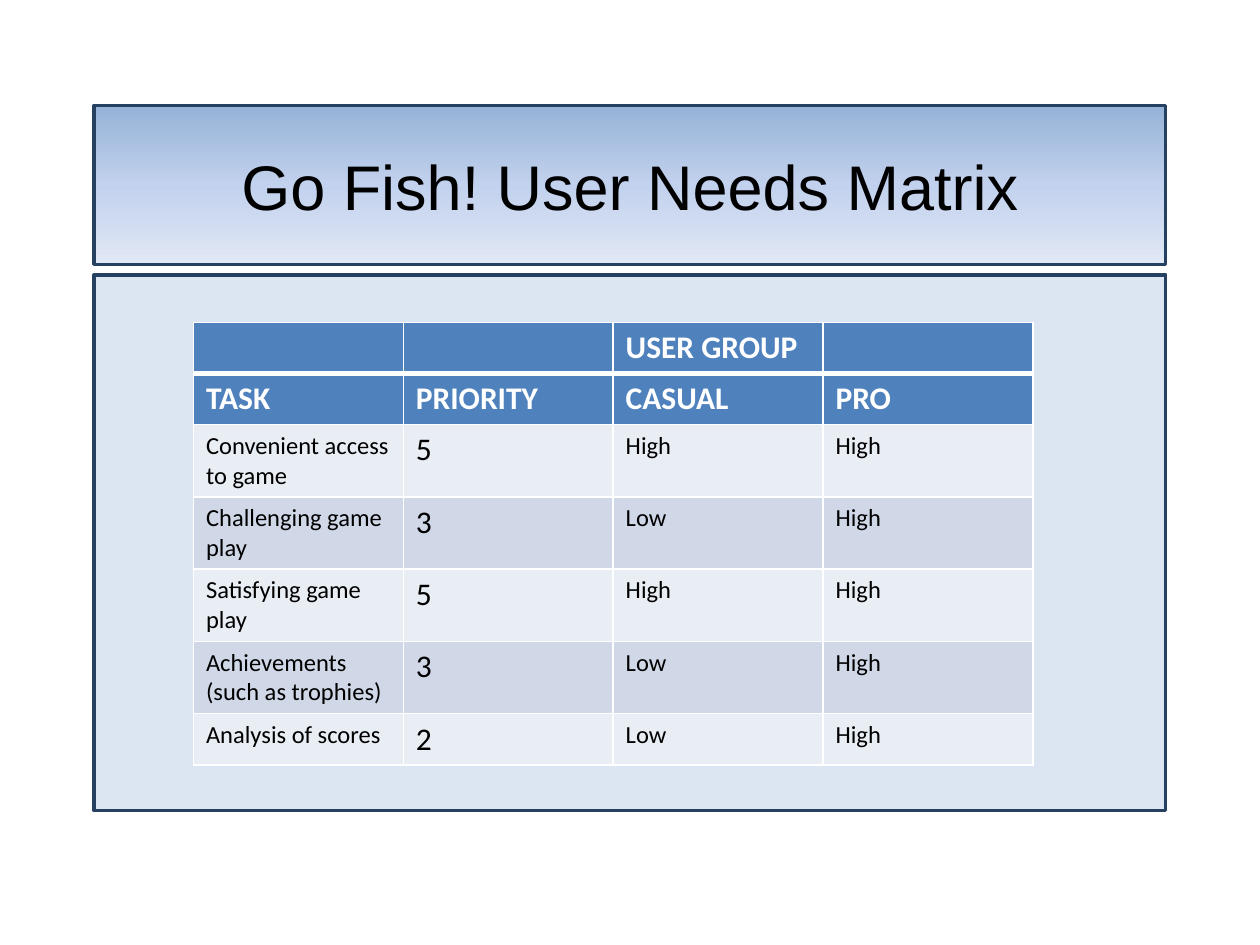
from copy import deepcopy

from lxml import etree
from pptx import Presentation
from pptx.dml.color import RGBColor
from pptx.enum.shapes import MSO_SHAPE
from pptx.enum.text import MSO_ANCHOR, PP_ALIGN
from pptx.oxml.ns import qn
from pptx.util import Cm, Pt

RECTANGLE = MSO_SHAPE.RECTANGLE
MIDDLE = MSO_ANCHOR.MIDDLE
CENTER = PP_ALIGN.CENTER

NAVY, PALE_BLUE = "254061", "DCE6F2"
HEADER_BLUE, BANDS = "4F81BD", ("E9EDF4", "D0D8E8")
WHITE, BLACK = "FFFFFF", "000000"
TITLE_GRADIENT = ((0, "95B3D7"), (0.5, "C2D1ED"), (1, "E1E8F5"))

HEADER_ROWS = 2
ROWS = (
    ("", "", "USER GROUP", ""),
    ("TASK", "PRIORITY", "CASUAL", "PRO"),
    ("Convenient access to game", "5", "High", "High"),
    ("Challenging game play", "3", "Low", "High"),
    ("Satisfying game play", "5", "High", "High"),
    ("Achievements (such as trophies)", "3", "Low", "High"),
    ("Analysis of scores ", "2", "Low", "High"),
)
PRIORITY_COLUMN = 1


def color(hex_text):
    """Turn a hex string into a colour."""
    return RGBColor.from_string(hex_text)


def add_run(paragraph, text, size, font_name, hex_text, bold=False):
    """Add one formatted run to a paragraph."""
    run = paragraph.add_run()
    run.text = text
    run.font.size = Pt(size)
    run.font.name = font_name
    run.font.bold = bold
    run.font.color.rgb = color(hex_text)


def add_frame(slide, box):
    """Add an outlined rectangle; box is left, top, width, height in cm."""
    shape = slide.shapes.add_shape(RECTANGLE, *(Cm(length) for length in box))
    shape.shadow.inherit = False
    shape.line.color.rgb = color(NAVY)
    shape.line.width = Pt(2)
    return shape


def fill_gradient(fill, stops):
    """Apply a three-stop gradient that runs from top to bottom."""
    fill.gradient()
    fill.gradient_angle = 270
    first_stop = fill.gradient_stops[0]._gs
    first_stop.addnext(deepcopy(first_stop))
    for stop, (position, hex_text) in zip(fill.gradient_stops, stops):
        stop.position = position
        stop.color.rgb = color(hex_text)


def add_title(slide, box, text):
    """Place the title banner in the box."""
    shape = add_frame(slide, box)
    fill_gradient(shape.fill, TITLE_GRADIENT)
    shape.text_frame.word_wrap = True
    shape.text_frame.vertical_anchor = MIDDLE
    paragraph = shape.text_frame.paragraphs[0]
    paragraph.alignment = CENTER
    add_run(paragraph, text, 36, "Arial", BLACK)


def set_borders(cell, top, bottom):
    """Draw white cell borders; top and bottom are widths in points."""
    properties = cell._tc.get_or_add_tcPr()
    for side, width in (("L", 1), ("R", 1), ("T", top), ("B", bottom)):
        line = etree.SubElement(properties, qn(f"a:ln{side}"), w=str(Pt(width)))
        fill = etree.SubElement(line, qn("a:solidFill"))
        etree.SubElement(fill, qn("a:srgbClr"), val=WHITE)


def format_cell(cell, text, row, column):
    """Set the borders, fill and text of one cell by its position."""
    header = row < HEADER_ROWS
    set_borders(cell, 3 if row == 1 else 1, 3 if row == 0 else 1)
    cell.fill.solid()
    cell.fill.fore_color.rgb = color(HEADER_BLUE if header else BANDS[row % 2])
    if text:
        size = 18 if header or column == PRIORITY_COLUMN else 14
        add_run(cell.text_frame.paragraphs[0], text, size, "Calibri",
                WHITE if header else BLACK, header)


def add_matrix(slide, box):
    """Place the panel in the box and the needs table inside it."""
    panel = add_frame(slide, box)
    panel.fill.solid()
    panel.fill.fore_color.rgb = color(PALE_BLUE)

    column_width, row_height = 4.23, 1.03
    left, top = box[0] + 2, box[1] + 0.96
    table = slide.shapes.add_table(
        len(ROWS), len(ROWS[0]), Cm(left), Cm(top),
        Cm(column_width * len(ROWS[0])), Cm(row_height * len(ROWS))).table
    for column in table.columns:
        column.width = Cm(column_width)
    for row, texts in enumerate(ROWS):
        table.rows[row].height = Cm(row_height)
        for column, text in enumerate(texts):
            format_cell(table.cell(row, column), text, row, column)


def main():
    """Build and save the slide."""
    presentation = Presentation()
    presentation.slide_width = Cm(25.4)
    presentation.slide_height = Cm(19.05)
    slide = presentation.slides.add_slide(presentation.slide_layouts[6])
    left, width = 1.9, 21.6
    add_matrix(slide, (left, 5.54, width, 10.8))
    add_title(slide, (left, 2.13, width, 3.2), "Go Fish! User Needs Matrix")
    presentation.save("out.pptx")


main()
